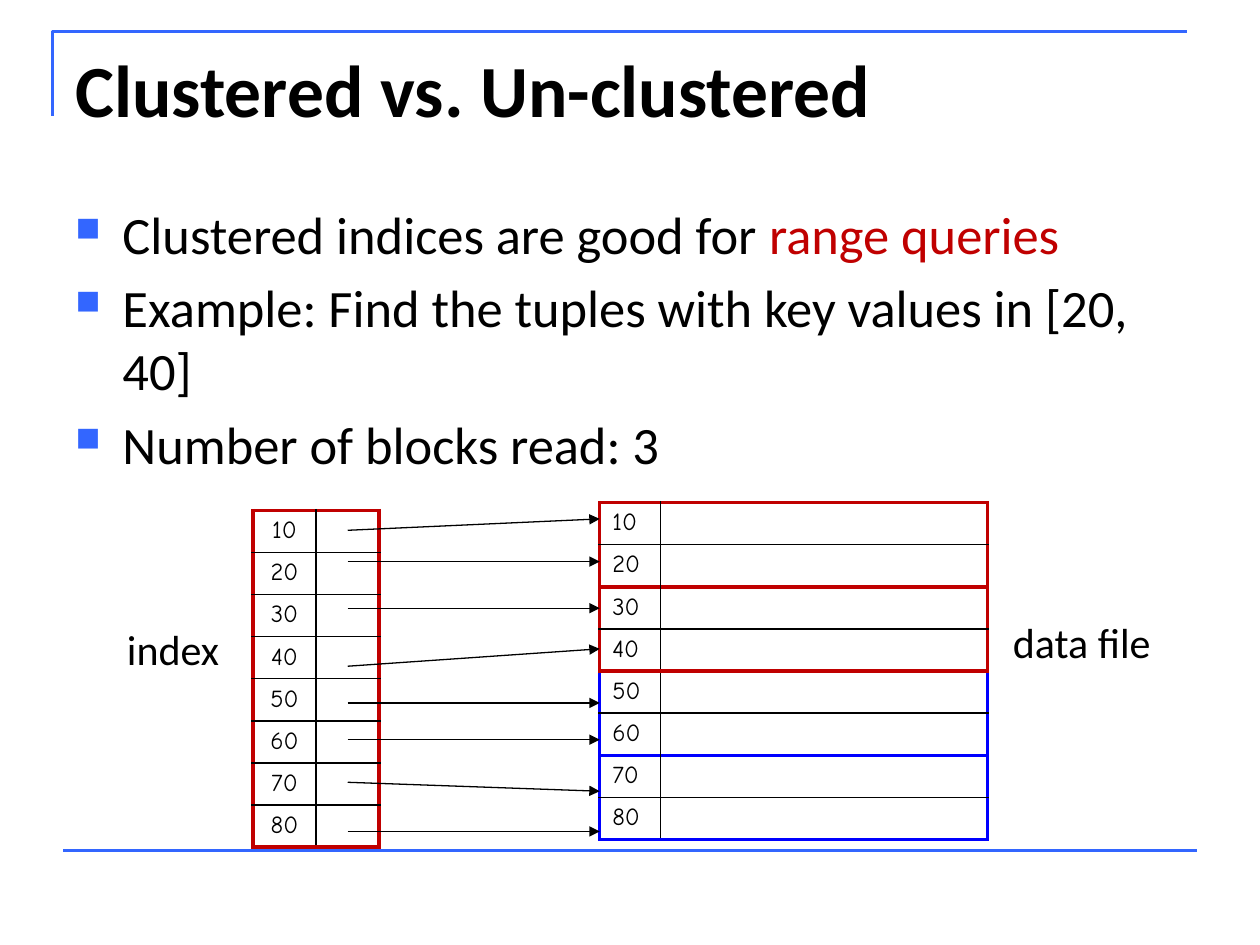
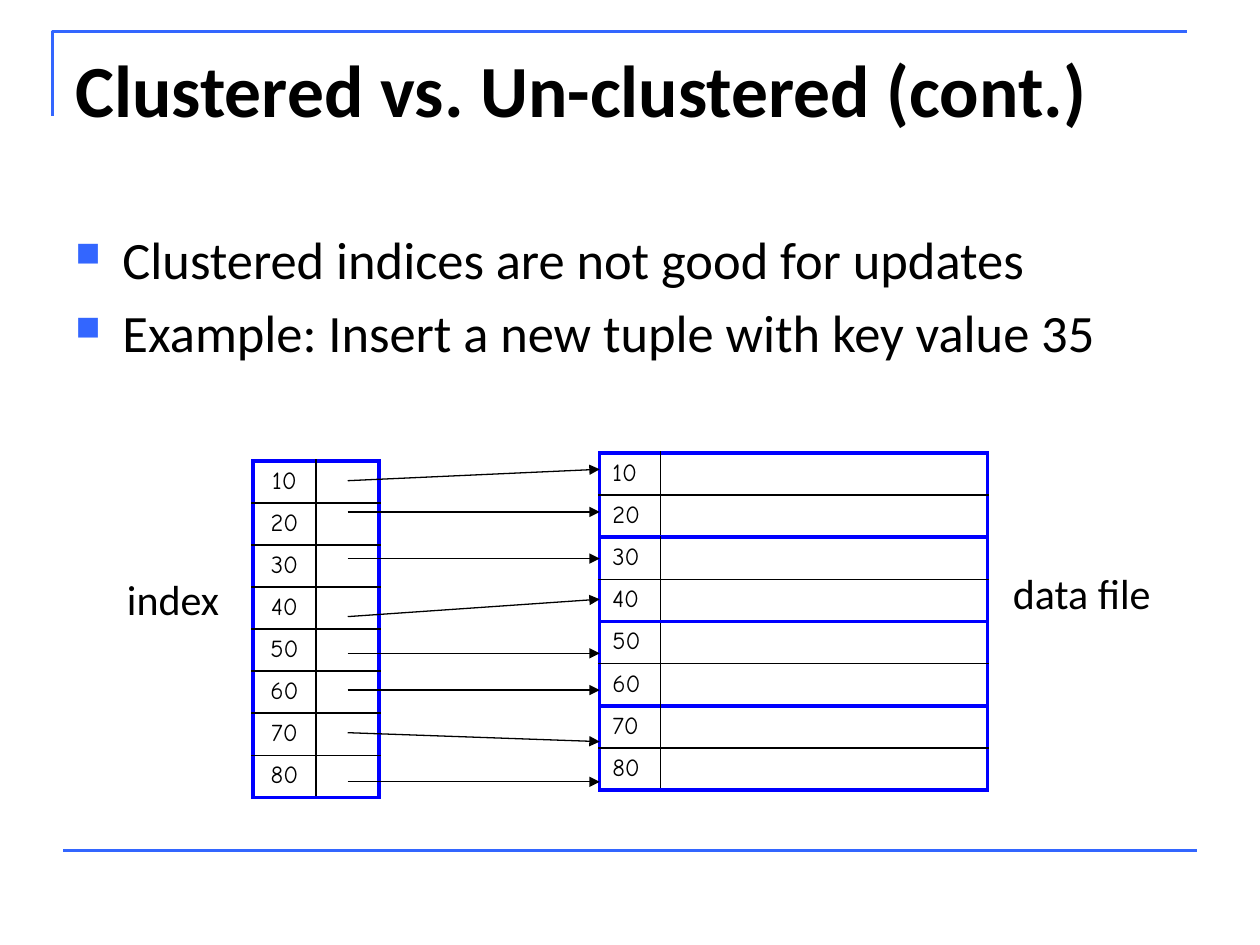
"""Build two slides on clustered and un-clustered indices."""
from lxml.etree import SubElement
from pptx import Presentation
from pptx.dml.color import RGBColor
from pptx.enum.shapes import MSO_CONNECTOR
from pptx.enum.text import MSO_ANCHOR, MSO_AUTO_SIZE, PP_ALIGN
from pptx.oxml.ns import qn
from pptx.util import Cm, Pt

COLOURS = {"text": "000000", "accent": "3366FF", "read": "C00000", "block": "0000FF"}
TITLE = {"name": "Calibri", "size": Pt(42), "bold": True}
BODY = {"name": "Calibri", "size": Pt(30), "bold": False}
LABEL = {"name": "Calibri", "size": Pt(24), "bold": False}
KEY = {"name": "Comic Neue", "size": Pt(14), "bold": False}
KEYS = ["10", "20", "30", "40", "50", "60", "70", "80"]
ROW_HEIGHT = 0.82
BLOCK_PITCH = 1.7
DRAW_ORDER = [0, 2, 3, 1]
POINTER_STARTS = [0.56, 1.19, 2.13, 3.3, 4.04, 4.78, 5.64, 6.63]
POINTER_ENDS = [0.33, 1.19, 2.13, 2.95, 4.04, 4.78, 5.82, 6.63]

SLIDES = [
    {
        "title": "Clustered vs. Un-clustered",
        "body_top": 3.94,
        "body_height": 6.2,
        "points": [
            [("Clustered indices are good for ", "text"), ("range queries", "read")],
            [("Example: Find the tuples with key values in [20, 40]", "text")],
            [("Number of blocks read: 3", "text")],
        ],
        "file_top": 10.13,
        "index_frame": "read",
        "block_frames": ["read", "read", "block", "block"],
    },
    {
        "title": "Clustered vs. Un-clustered (cont.)",
        "body_top": 4.45,
        "body_height": 4.5,
        "points": [
            [("Clustered indices are not good for updates", "text")],
            [("Example: Insert a new tuple with key value 35", "text")],
        ],
        "file_top": 9.13,
        "index_frame": "block",
        "block_frames": ["block"] * 4,
    },
]


def write(paragraph, text, style, colour="text"):
    run = paragraph.add_run()
    run.text = text
    for attribute, value in style.items():
        setattr(run.font, attribute, value)
    run.font.color.rgb = RGBColor.from_string(COLOURS[colour])


def draw_records(slide, left, top, widths, keys, frame, alignment):
    records = slide.shapes.add_table(
        len(keys), 2, Cm(left), Cm(top), Cm(sum(widths)), Cm(ROW_HEIGHT * len(keys))
    ).table
    records.first_row = records.horz_banding = False
    for column, width in zip(records.columns, widths):
        column.width = Cm(width)
    for row, key in enumerate(keys):
        records.rows[row].height = Cm(ROW_HEIGHT)
        key_cell, pointer_cell = records.cell(row, 0), records.cell(row, 1)
        key_cell.text_frame.paragraphs[0].alignment = alignment
        write(key_cell.text_frame.paragraphs[0], key, KEY)
        pointer_cell.margin_top = pointer_cell.margin_bottom = 0
        for column, cell in enumerate([key_cell, pointer_cell]):
            outer_sides = {
                "a:lnL": column == 0,
                "a:lnR": column == 1,
                "a:lnT": row == 0,
                "a:lnB": row == len(keys) - 1,
            }
            properties = cell._tc.get_or_add_tcPr()
            for side, outer in outer_sides.items():
                border = SubElement(properties, qn(side), w=str(Pt(2.25 if outer else 1)))
                ink = SubElement(border, qn("a:solidFill"))
                SubElement(ink, qn("a:srgbClr"), val=COLOURS[frame if outer else "text"])
            cell.fill.background()


prs = Presentation()
prs.slide_width, prs.slide_height = Cm(25.4), Cm(19.05)

for content in SLIDES:
    slide = prs.slides.add_slide(prs.slide_layouts[5])
    file_top = content["file_top"]

    outline = slide.shapes.build_freeform(Cm(1.06), Cm(2.33))
    outline.add_line_segments([(Cm(1.06), Cm(0.63)), (Cm(23.92), Cm(0.63))], close=False)
    corner = outline.convert_to_shape()
    corner.shadow.inherit = False
    corner.fill.background()
    corner.line.color.rgb = RGBColor.from_string(COLOURS["accent"])
    corner.line.width = Pt(1.5)

    title = slide.shapes.title
    title.left, title.top, title.width, title.height = Cm(1.27), Cm(0.76), Cm(22.86), Cm(3.17)
    title.text_frame.vertical_anchor = MSO_ANCHOR.TOP
    title.text_frame.auto_size = MSO_AUTO_SIZE.NONE
    title.text_frame.paragraphs[0].alignment = PP_ALIGN.LEFT
    write(title.text_frame.paragraphs[0], content["title"], TITLE)

    body = slide.shapes.add_textbox(
        Cm(1.27), Cm(content["body_top"]), Cm(22.86), Cm(content["body_height"])
    ).text_frame
    body.word_wrap = True
    for number, point in enumerate(content["points"]):
        paragraph = body.add_paragraph() if number else body.paragraphs[0]
        if number:
            paragraph.space_before = Pt(6)
        properties = paragraph._p.get_or_add_pPr()
        properties.set("marL", str(Cm(0.95)))
        properties.set("indent", str(-Cm(0.95)))
        bullet_colour = SubElement(properties, qn("a:buClr"))
        SubElement(bullet_colour, qn("a:srgbClr"), val=COLOURS["accent"])
        SubElement(properties, qn("a:buSzPct"), val="65000")
        SubElement(properties, qn("a:buChar"), char="■")
        for text, colour in point:
            write(paragraph, text, BODY, colour)

    draw_records(slide, 5.1, file_top + 0.16, [1.27, 1.27], KEYS,
                 content["index_frame"], PP_ALIGN.CENTER)
    for block in DRAW_ORDER:
        draw_records(slide, 12.09, file_top + block * BLOCK_PITCH, [1.22, 6.6],
                     KEYS[2 * block:2 * block + 2], content["block_frames"][block],
                     PP_ALIGN.LEFT)

    lines = [(1.27, 17.15, 24.13, 17.15, "accent", 1.5)]
    for start, end in zip(POINTER_STARTS, POINTER_ENDS):
        lines.append((7.01, file_top + start, 12.09, file_top + end, "text", 0.75))
    for x1, y1, x2, y2, colour, weight in lines:
        line = slide.shapes.add_connector(MSO_CONNECTOR.STRAIGHT, Cm(x1), Cm(y1), Cm(x2), Cm(y2))
        line.line.color.rgb = RGBColor.from_string(COLOURS[colour])
        line.line.width = Pt(weight)
        properties = line._element.spPr
        if colour == "text":
            SubElement(properties.find(qn("a:ln")), qn("a:tailEnd"), type="triangle")
        SubElement(properties, qn("a:effectLst"))

    for text, left, offset, width in [("index", 2.31, 2.31, 2.39), ("data file", 20.17, 2.18, 3.33)]:
        label = slide.shapes.add_textbox(Cm(left), Cm(file_top + offset), Cm(width), Cm(1.27))
        label.text_frame.word_wrap = False
        label.text_frame.auto_size = MSO_AUTO_SIZE.SHAPE_TO_FIT_TEXT
        write(label.text_frame.paragraphs[0], text, LABEL)

prs.save("out.pptx")
